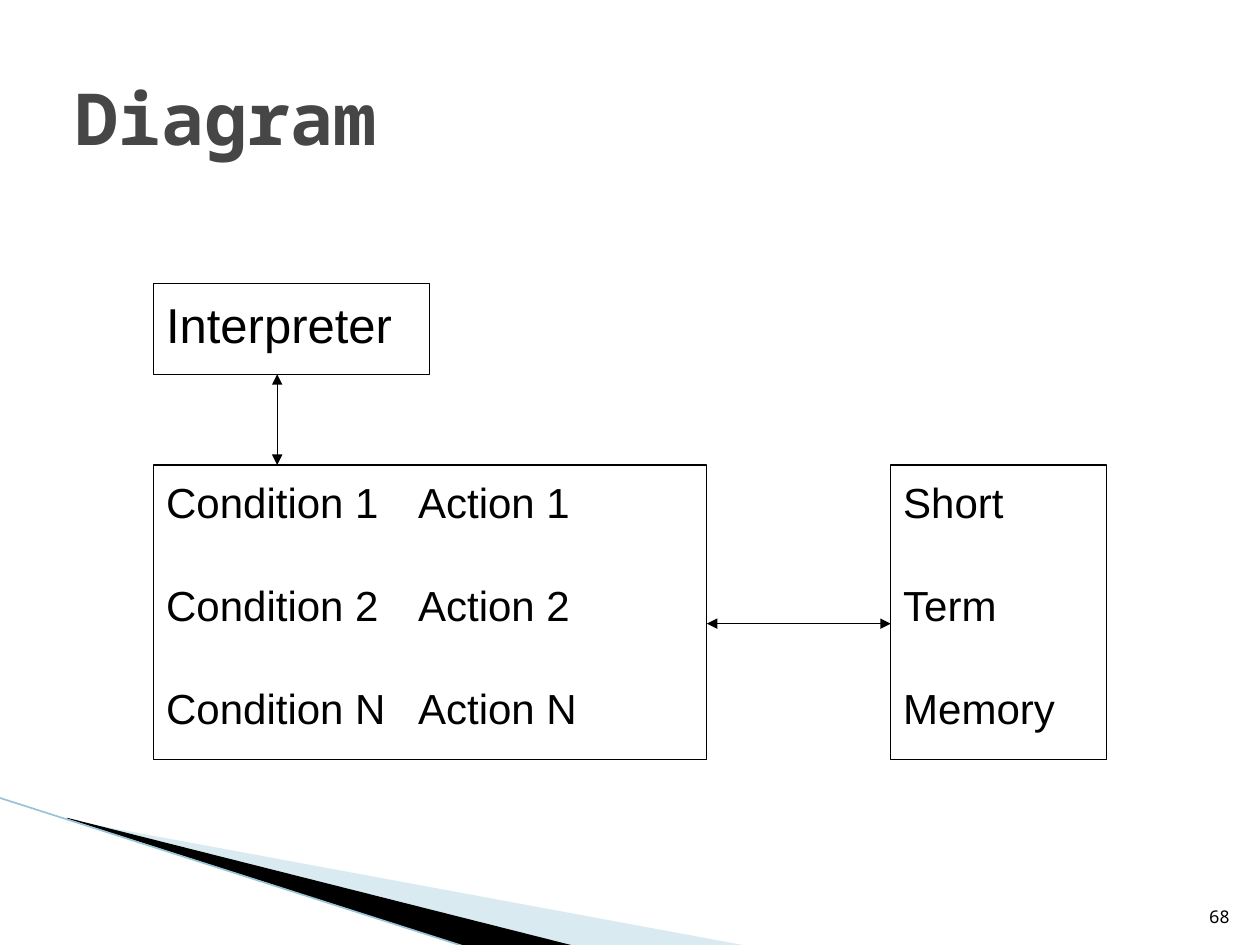
from lxml.etree import SubElement
from pptx import Presentation
from pptx.dml.color import RGBColor
from pptx.enum.shapes import MSO_CONNECTOR as Connector, MSO_SHAPE as Shape
from pptx.enum.text import MSO_ANCHOR as Anchor, PP_ALIGN as Align
from pptx.oxml.ns import qn
from pptx.util import Inches, Pt

BLACK = RGBColor(0x00, 0x00, 0x00)
WHITE = RGBColor(0xFF, 0xFF, 0xFF)
GREY = RGBColor(0x46, 0x46, 0x46)
PALE_BLUE = RGBColor(0xA0, 0xCB, 0xDC)
EDGE_BLUE = RGBColor(0x97, 0xC5, 0xD8)
MONO = "Noto Sans Mono"
SANS = "Arial"


def add_text(para, text, font, size, color, bold=False):
    span = para.add_run()
    span.text = text
    span.font.name = font
    span.font.size = Pt(size)
    span.font.color.rgb = color
    span.font.bold = bold


def add_wedge(page, points, color, opacity=100):
    corners = [(Inches(x), Inches(y)) for x, y in points]
    builder = page.shapes.build_freeform(*corners[0])
    builder.add_line_segments(corners[1:])
    wedge = builder.convert_to_shape()
    wedge.shadow.inherit = False
    wedge.fill.solid()
    wedge.fill.fore_color.rgb = color
    wedge.line.fill.background()
    if opacity < 100:
        tint = wedge.fill._xPr.find(qn("a:solidFill"))[0]
        SubElement(tint, qn("a:alpha"), val=str(opacity * 1000))


def add_line(page, start, end, color, width, arrows=False):
    line = page.shapes.add_connector(
        Connector.STRAIGHT, *(Inches(value) for value in (*start, *end)))
    line.line.color.rgb = color
    line.line.width = Pt(width)
    if arrows:
        outline = line.line._get_or_add_ln()
        for tip in ("a:headEnd", "a:tailEnd"):
            SubElement(outline, qn(tip), type="triangle")
    SubElement(line._element.spPr, qn("a:effectLst"))


def add_corner(page):
    add_wedge(page, [(0.55, 6.51), (5.95, 7.51), (4.56, 7.51), (0.55, 6.5)], PALE_BLUE, 40)
    add_wedge(page, [(0.53, 6.49), (4.57, 7.51), (3.72, 7.52), (0.54, 6.5)], BLACK)
    add_line(page, (-0.01, 6.33), (3.71, 7.52), EDGE_BLUE, 0.95)


def add_title(page, box, text):
    title = page.shapes.title
    title.left, title.top, title.width, title.height = map(Inches, box)
    title.text_frame.vertical_anchor = Anchor.MIDDLE
    para = title.text_frame.paragraphs[0]
    para.alignment = Align.LEFT
    add_text(para, text, MONO, 41, GREY, bold=True)


def add_page_number(page, box, text):
    frame = page.shapes.add_textbox(*map(Inches, box)).text_frame
    frame.word_wrap = True
    frame.vertical_anchor = Anchor.BOTTOM
    para = frame.paragraphs[0]
    para.alignment = Align.RIGHT
    add_text(para, text, MONO, 10, BLACK)


def add_block(page, box, lines, size):
    block = page.shapes.add_shape(Shape.RECTANGLE, *map(Inches, box))
    block.shadow.inherit = False
    block.fill.solid()
    block.fill.fore_color.rgb = WHITE
    block.line.color.rgb = BLACK
    block.line.width = Pt(0.75)
    frame = block.text_frame
    frame.word_wrap = True
    frame.vertical_anchor = Anchor.TOP
    frame.margin_top = Inches(0.09)
    for index, text in enumerate(lines):
        para = frame.add_paragraph() if index else frame.paragraphs[0]
        para.alignment = Align.LEFT
        if index:
            para.space_before = Pt(30)
        add_text(para, text, SANS, size, BLACK)


def add_diagram(page, box):
    left, top, width, height = box
    rules_top, rules_width, lower_height = top + 1.44, 4.39, 2.34
    interpreter_height, memory_width = 0.72, 1.71
    rules_right = left + rules_width
    memory_left = left + width - memory_width
    add_block(page, (left, top, 2.19, interpreter_height), ["Interpreter"], 28)
    add_block(page, (left, rules_top, rules_width, lower_height),
              [f"Condition {name}\tAction {name}" for name in "12N"], 24)
    add_block(page, (memory_left, rules_top, memory_width, lower_height),
              ["Short", "Term", "Memory"], 24)
    middle = top + height - 1.08
    add_line(page, (rules_right, middle), (memory_left, middle), BLACK, 0.75, arrows=True)
    stem = left + 0.98
    add_line(page, (stem, top + interpreter_height), (stem, rules_top),
             BLACK, 0.75, arrows=True)


def main():
    deck = Presentation()
    deck.slide_width, deck.slide_height = Inches(10), Inches(7.5)
    page = deck.slides.add_slide(deck.slide_layouts[5])
    add_corner(page)
    add_page_number(page, (9.46, 7.01, 0.4, 0.4), "68")
    add_title(page, (0.5, 0.3, 9, 1.25), "Diagram")
    add_diagram(page, (1.22, 2.25, 7.56, 3.78))
    deck.save("out.pptx")


if __name__ == "__main__":
    main()
